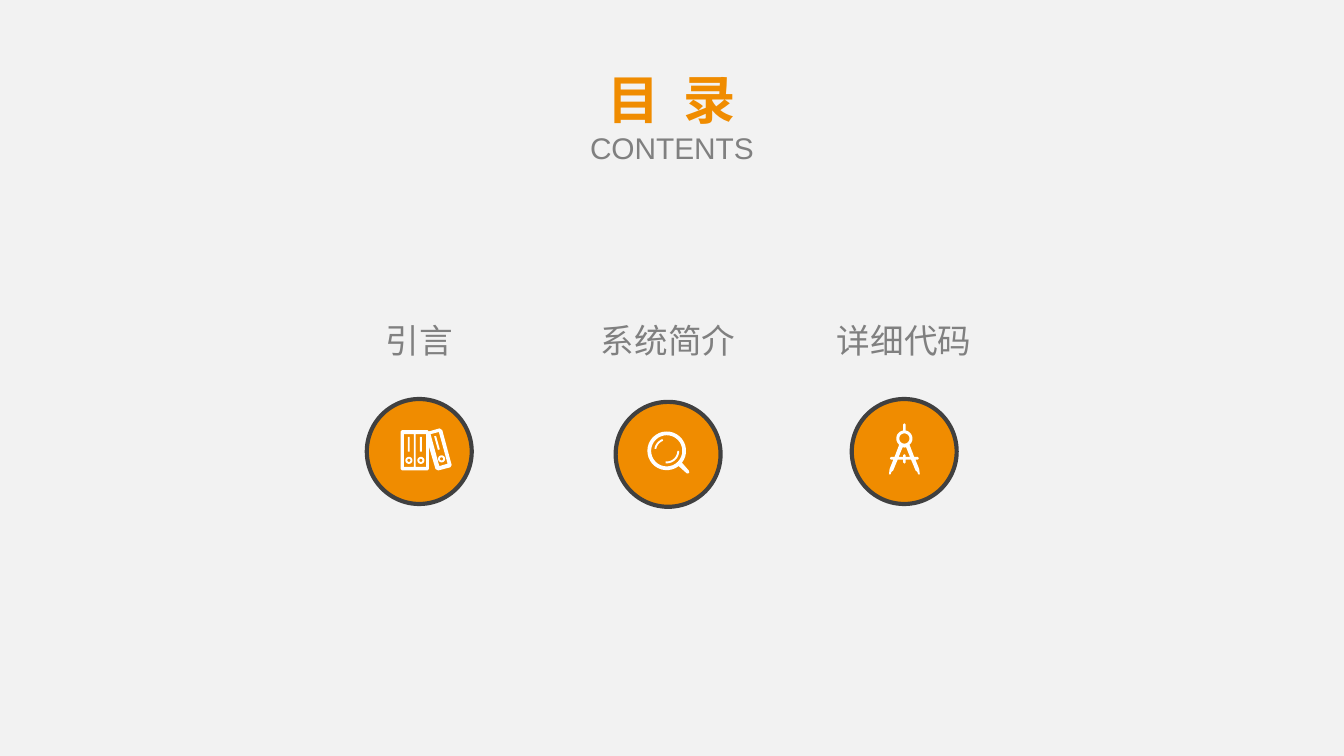
from math import cos, radians, sin

from pptx import Presentation
from pptx.dml.color import RGBColor
from pptx.enum import shapes, text
from pptx.util import Pt

ORANGE = RGBColor(0xF0, 0x8C, 0x00)
DARK = RGBColor(0x40, 0x40, 0x40)
GRAY = RGBColor(0x80, 0x80, 0x80)
WHITE = RGBColor(0xFF, 0xFF, 0xFF)
PAPER = RGBColor(0xF2, 0xF2, 0xF2)


def arc(x, y, radius, start=0, end=360, steps=32):
    angles = [radians(start + (end - start) * i / steps) for i in range(steps + 1)]
    return [(x + radius * cos(a), y + radius * sin(a)) for a in angles]


def ring(x, y, outer, inner):
    return [arc(x, y, outer), arc(x, y, inner)]


def band(x, y, outer, inner, start, end):
    return arc(x, y, outer, start, end) + arc(x, y, inner, end, start)


def box(x1, y1, x2, y2):
    return [(x1, y1), (x2, y1), (x2, y2), (x1, y2)]


def mirrored(half, axis):
    return half + [(2 * axis - x, y) for x, y in reversed(half)]


BINDERS = [
    [(0, 3), (1, 2), (20, 2), (21, 3), (29, 0.7), (31, 2), (38, 28), (37, 29.7),
     (28, 32), (26, 31), (21, 14), (21, 31), (20, 32), (1, 32), (0, 31)],
    box(2.5, 5, 10, 29.3), box(11.3, 5, 19, 29.3),
    [(22.3, 5), (28.5, 3.4), (35, 27), (28.8, 28.8)],
    box(5.4, 7, 6.8, 18), box(14.4, 7, 15.8, 18),
    [(25, 6.7), (26.4, 6.3), (29.2, 16.3), (27.8, 16.7)],
    *ring(6.2, 24.5, 2.6, 1.2), *ring(15.1, 24.5, 2.6, 1.2), *ring(30.5, 23.4, 2.6, 1.2),
]
MAGNIFIER = [
    arc(14.2, 14.5, 14.4, 52, 398) + [(30.5, 29), (31, 30.5), (30.2, 31.4), (29, 31.2)],
    arc(14.2, 14.5, 11.6),
    band(14.2, 14.5, 9.3, 7.9, 190, 250),
    band(14.2, 14.5, 9.3, 7.9, 0, 95),
]
COMPASS = [
    mirrored([(12, 0), (13, 1), (13, 5.4)] + arc(12, 11.3, 6, 280, 410)
             + [(19.3, 25), (22, 25), (22.8, 26), (22, 27), (20.2, 27), (23, 34),
                (23.5, 38), (22.3, 38), (21.7, 36.3), (20.3, 35), (17, 27),
                (13, 27), (13, 29), (12, 30)], 12),
    arc(12, 11.3, 3.8),
    mirrored([(12, 18), (13.3, 17.8), (16.2, 25), (13, 25), (13, 23.7), (12, 23)], 12),
]

TITLE = [
    (["目", " ", "录"], 28, "Arial Narrow", ORANGE, True),
    (["CONTENTS"], 16, "Arial", GRAY, False),
]
TITLE_BOX = (301.7, 32.4, 116.6, 60.5)
TITLE_GAP = 640
TOPICS = [
    ("引言", 224.6, 213.8, BINDERS, (214.6, 229)),
    ("系统简介", 357.9, 215.3, MAGNIFIER, (347, 231.1)),
    ("详细代码", 484.4, 213.8, COMPASS, (475.9, 226.8)),
]
DIAMETER = 56.2
LABEL_TOP, LABEL_W, LABEL_H = 167.8, 88, 28.8
ICON_UNIT = 0.72


def add_text(s, at, paragraphs, wrap=True):
    tf = s.shapes.add_textbox(*map(Pt, at)).text_frame
    tf.word_wrap = wrap
    tf.auto_size = text.MSO_AUTO_SIZE.SHAPE_TO_FIT_TEXT
    for i, (parts, size, font, color, bold) in enumerate(paragraphs):
        p = tf.add_paragraph() if i else tf.paragraphs[0]
        p.alignment = text.PP_ALIGN.CENTER
        for part in parts:
            r = p.add_run()
            r.text = part
            r.font.size, r.font.name, r.font.bold = Pt(size), font, bold
            r.font.color.rgb = color
            if part == " ":
                r._r.get_or_add_rPr().set("spc", str(TITLE_GAP))


def add_circle(s, center, top):
    sp = s.shapes.add_shape(shapes.MSO_SHAPE.OVAL, Pt(center - DIAMETER / 2), Pt(top),
                            Pt(DIAMETER), Pt(DIAMETER))
    sp.shadow.inherit = False
    sp.fill.solid()
    sp.fill.fore_color.rgb = ORANGE
    sp.line.color.rgb = DARK
    sp.line.width = Pt(2.25)


def add_icon(s, outlines, left, top):
    contours = [[(Pt(left + x * ICON_UNIT), Pt(top + y * ICON_UNIT)) for x, y in outline]
                for outline in outlines]
    builder = s.shapes.build_freeform(*contours[0][0])
    builder.add_line_segments(contours[0][1:])
    for contour in contours[1:]:
        builder.move_to(*contour[0])
        builder.add_line_segments(contour[1:])
    sp = builder.convert_to_shape()
    sp.shadow.inherit = False
    sp.fill.solid()
    sp.fill.fore_color.rgb = WHITE
    sp.line.fill.background()


prs = Presentation()
prs.slide_width, prs.slide_height = Pt(720), Pt(405)
s = prs.slides.add_slide(prs.slide_layouts[6])
s.background.fill.solid()
s.background.fill.fore_color.rgb = PAPER

add_text(s, TITLE_BOX, TITLE)
for label, center, top, outlines, origin in TOPICS:
    add_circle(s, center, top)
    add_icon(s, outlines, *origin)
    add_text(s, (center - LABEL_W / 2, LABEL_TOP, LABEL_W, LABEL_H),
             [([label], 18, "Arial Narrow", GRAY, False)], wrap=False)

prs.save("out.pptx")
